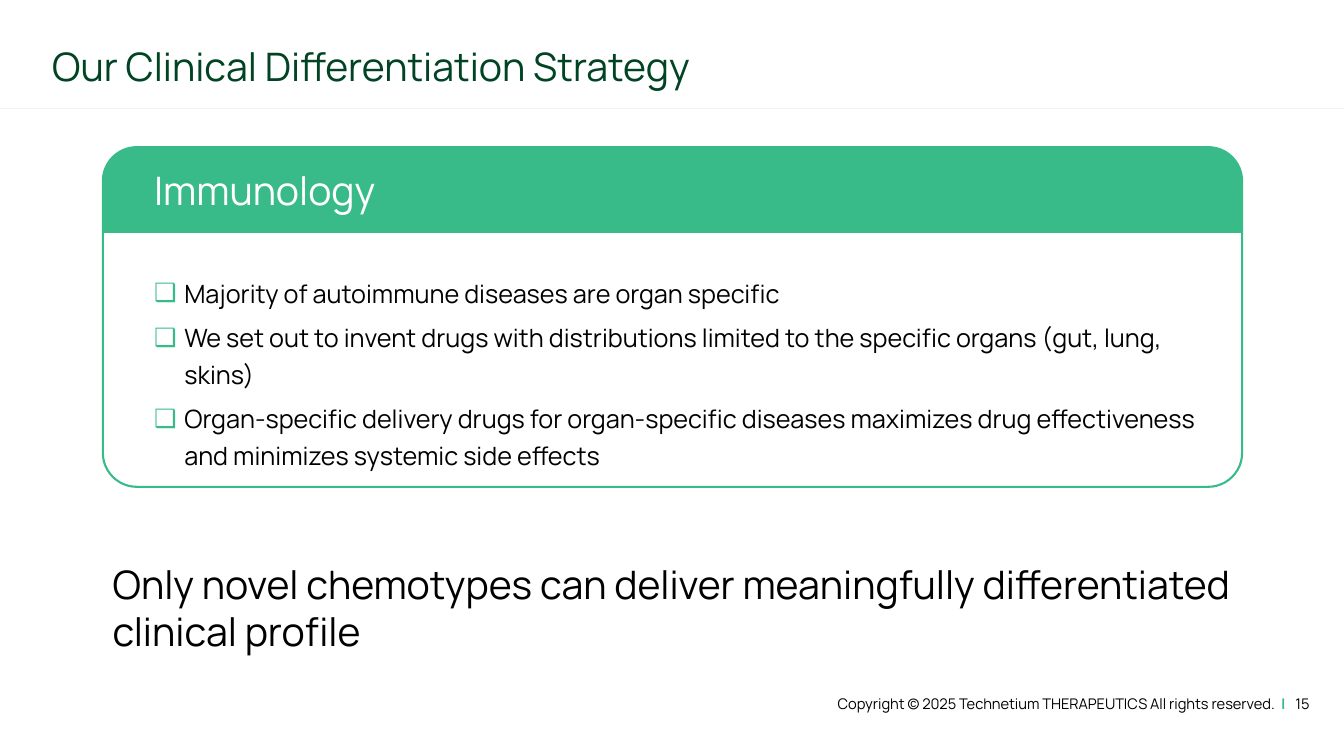
from lxml import etree
from pptx import Presentation
from pptx.dml.color import RGBColor
from pptx.enum.shapes import MSO_CONNECTOR, MSO_SHAPE
from pptx.enum.text import MSO_ANCHOR
from pptx.oxml.ns import qn
from pptx.util import Inches, Pt

STRAIGHT = MSO_CONNECTOR.STRAIGHT
ROUND = MSO_SHAPE.ROUNDED_RECTANGLE
TAB_TOP = MSO_SHAPE.ROUND_2_SAME_RECTANGLE
TOP, MIDDLE = MSO_ANCHOR.TOP, MSO_ANCHOR.MIDDLE

FONT = "Manrope"
GREEN, DARK, BLACK, WHITE, GREY = "38BB89", "004423", "000000", "FFFFFF", "F2F2F2"
WIDTH, HEIGHT = 13.33, 7.5
LEFT, CARD_TOP, CARD_WIDTH = 1.02, 1.46, 11.3
INDENT = 0.3

POINTS = [
    "Majority of autoimmune diseases are organ specific",
    "We set out to invent drugs with distributions limited to the specific "
    "organs (gut, lung, skins)",
    "Organ-specific delivery drugs for organ-specific diseases maximizes drug "
    "effectiveness and minimizes systemic side effects",
]
FOOTER = [
    ("\tCopyright © 2025 Technetium THERAPEUTICS All rights reserved.", BLACK, False),
    ("\t|", GREEN, True),
    ("\t15", BLACK, False),
]
FOOTER_TABS = [(5.03, "r"), (5.11, "ctr"), (5.23, "l")]


def rgb(color):
    return RGBColor.from_string(color)


def add_bullet(para, char, color):
    props = para._p.get_or_add_pPr()
    props.set("marL", str(Inches(INDENT)))
    props.set("indent", str(Inches(-INDENT)))
    tint = etree.SubElement(props, qn("a:buClr"))
    etree.SubElement(tint, qn("a:srgbClr"), val=color)
    etree.SubElement(props, qn("a:buFont"), typeface="Arial")
    etree.SubElement(props, qn("a:buChar"), char=char)


def add_tabs(para, stops):
    tabs = etree.SubElement(para._p.get_or_add_pPr(), qn("a:tabLst"))
    for pos, align in stops:
        etree.SubElement(tabs, qn("a:tab"), pos=str(Inches(pos)), algn=align)


def add_text(slide, box, paras, size=28, color=BLACK, anchor=TOP,
             spacing=None, before=0, bullet=None, tabs=()):
    """Each paragraph is a string or a list of (text, color, bold) runs."""
    frame = slide.shapes.add_textbox(*map(Inches, box)).text_frame
    frame.word_wrap = True
    frame.vertical_anchor = anchor
    for i, runs in enumerate(paras):
        para = frame.paragraphs[0] if i == 0 else frame.add_paragraph()
        if spacing:
            para.line_spacing = spacing
        if i and before:
            para.space_before = Pt(before)
        if bullet:
            add_bullet(para, bullet, GREEN)
        if tabs:
            add_tabs(para, tabs)
        if isinstance(runs, str):
            runs = [(runs, color, False)]
        for text, tint, bold in runs:
            run = para.add_run()
            run.text = text
            font = run.font
            font.name, font.size, font.bold = FONT, Pt(size), bold
            font.color.rgb = rgb(tint)


def add_panel(slide, kind, box, adjust, fill=None, line=None):
    panel = slide.shapes.add_shape(kind, *map(Inches, box))
    panel.shadow.inherit = False
    for i, value in enumerate(adjust):
        panel.adjustments[i] = value
    if fill:
        panel.fill.solid()
        panel.fill.fore_color.rgb = rgb(fill)
    else:
        panel.fill.background()
    if line:
        panel.line.color.rgb = rgb(line)
        panel.line.width = Pt(1.5)
    else:
        panel.line.fill.background()


def add_rule(slide, y):
    rule = slide.shapes.add_connector(
        STRAIGHT, 0, Inches(y), Inches(WIDTH), Inches(y))
    rule.line.color.rgb = rgb(GREY)
    rule.line.width = Pt(0.75)
    etree.SubElement(rule._element.spPr, qn("a:effectLst"))


def main():
    deck = Presentation()
    deck.slide_width, deck.slide_height = Inches(WIDTH), Inches(HEIGHT)
    slide = deck.slides.add_slide(deck.slide_layouts[6])

    add_rule(slide, 1.08)
    add_text(slide, (0.42, 0.27, 9.76, 0.82),
             ["Our Clinical Differentiation Strategy"],
             color=DARK, anchor=MIDDLE, spacing=0.9)
    add_text(slide, (7.52, 6.72, 5.57, 0.52), [FOOTER],
             size=10.5, anchor=MIDDLE, tabs=FOOTER_TABS)
    add_text(slide, (LEFT, 5.51, CARD_WIDTH, 1.04),
             ["Only novel chemotypes can deliver meaningfully differentiated "
              "clinical profile"])

    add_panel(slide, ROUND, (LEFT, CARD_TOP, CARD_WIDTH, 3.37), [0.1], line=GREEN)
    add_panel(slide, TAB_TOP, (LEFT, CARD_TOP, CARD_WIDTH, 0.85), [0.38, 0],
              fill=GREEN)
    add_text(slide, (1.43, 2.65, 10.55, 1.69), POINTS,
             size=18, spacing=1.2, before=6, bullet="❑")
    add_text(slide, (1.43, 1.6, 8.85, 0.57), ["Immunology"], color=WHITE)

    deck.save("out.pptx")


if __name__ == "__main__":
    main()
